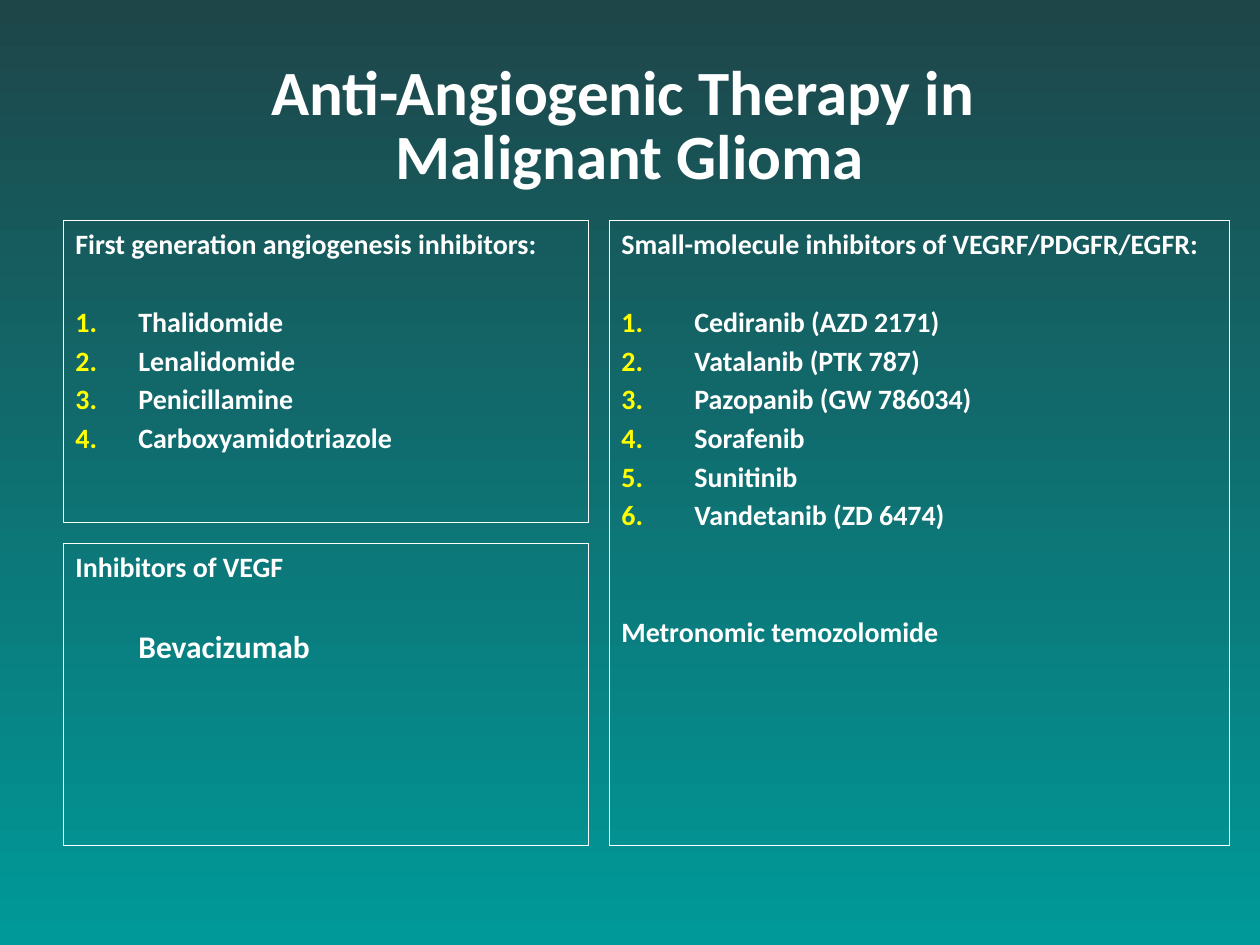
from dataclasses import dataclass

from lxml.etree import SubElement
from pptx import Presentation
from pptx.dml.color import RGBColor
from pptx.enum.shapes import MSO_SHAPE
from pptx.enum.text import MSO_ANCHOR, MSO_AUTO_SIZE, PP_ALIGN
from pptx.oxml.ns import qn
from pptx.util import Emu, Pt

EMU_PER_PX = 914400 / 126


@dataclass(frozen=True)
class Theme:
    font: str = "Calibri"
    text: str = "FFFFFF"
    number: str = "FFFF00"
    bottom: str = "009999"
    top: str = "1E4649"
    title_size: int = 36
    body_size: int = 16
    drug_size: int = 18
    outline: float = 0.25


@dataclass(frozen=True)
class Box:
    left: int
    top: int
    width: int
    height: int


@dataclass(frozen=True)
class Panel:
    box: Box
    heading: str
    items: tuple[str, ...] = ()
    indent: int = 0
    closing: str = ""


THEME = Theme()
ITEM_GAP, HEADING_GAP, CLOSING_GAP = 5, 45, 83  # px above a paragraph

TITLE_BOX = Box(42, 49, 1176, 158)
DRUG_BOX = Box(126, 621, 198, 50)
PANELS = (
    Panel(
        Box(63, 220, 525, 302),
        "First generation angiogenesis inhibitors:",
        ("Thalidomide", "Lenalidomide", "Penicillamine", "Carboxyamidotriazole"),
        indent=63,
    ),
    Panel(Box(63, 543, 525, 302), "Inhibitors of VEGF"),
    Panel(
        Box(609, 220, 620, 625),
        "Small-molecule inhibitors of VEGRF/PDGFR/EGFR:",
        (
            "Cediranib (AZD 2171)",
            "Vatalanib (PTK 787)",
            "Pazopanib (GW 786034)",
            "Sorafenib",
            "Sunitinib",
            "Vandetanib (ZD 6474)",
        ),
        indent=73,
        closing="Metronomic temozolomide",
    ),
)


def px(n: int) -> Emu:
    return Emu(round(n * EMU_PER_PX))


def place(box: Box) -> tuple[Emu, ...]:
    return px(box.left), px(box.top), px(box.width), px(box.height)


def rgb(color: str) -> RGBColor:
    return RGBColor.from_string(color)


def add_run(p, text: str, size: int) -> None:
    r = p.add_run()
    r.text = text
    r.font.name = THEME.font
    r.font.size = Pt(size)
    r.font.bold = True
    r.font.color.rgb = rgb(THEME.text)


def number(p, indent: int) -> None:
    """Give the paragraph a coloured automatic number and a hanging indent."""
    pPr = p._p.get_or_add_pPr()
    pPr.set("marL", str(px(indent)))
    pPr.set("indent", str(-px(indent)))
    color = SubElement(pPr, qn("a:buClr"))
    SubElement(color, qn("a:srgbClr"), val=THEME.number)
    SubElement(pPr, qn("a:buAutoNum"), type="arabicPeriod")


def add_line(tf, text: str, gap: int):
    p = tf.add_paragraph()
    p.space_before = px(gap)
    add_run(p, text, THEME.body_size)
    return p


def draw_panel(s, panel: Panel) -> None:
    sp = s.shapes.add_shape(MSO_SHAPE.RECTANGLE, *place(panel.box))
    sp.shadow.inherit = False
    sp.fill.background()
    sp.line.color.rgb = rgb(THEME.text)
    sp.line.width = Pt(THEME.outline)
    tf = sp.text_frame
    tf.word_wrap = True
    tf.vertical_anchor = MSO_ANCHOR.TOP
    tf.paragraphs[0].alignment = PP_ALIGN.LEFT
    add_run(tf.paragraphs[0], panel.heading, THEME.body_size)
    for i, item in enumerate(panel.items):
        p = add_line(tf, item, ITEM_GAP if i else HEADING_GAP)
        p.alignment = PP_ALIGN.LEFT
        number(p, panel.indent)
    if panel.closing:
        add_line(tf, panel.closing, CLOSING_GAP).alignment = PP_ALIGN.LEFT


def draw_title(s) -> None:
    tf = s.shapes.add_textbox(*place(TITLE_BOX)).text_frame
    tf.word_wrap = True
    tf.vertical_anchor = MSO_ANCHOR.MIDDLE
    p = tf.paragraphs[0]
    p.alignment = PP_ALIGN.CENTER
    p.line_spacing = 0.85
    add_run(p, "Anti-Angiogenic Therapy in ", THEME.title_size)
    p.add_line_break()
    add_run(p, "Malignant Glioma", THEME.title_size)


def draw_drug(s) -> None:
    tf = s.shapes.add_textbox(*place(DRUG_BOX)).text_frame
    tf.word_wrap = False
    tf.auto_size = MSO_AUTO_SIZE.SHAPE_TO_FIT_TEXT
    add_run(tf.paragraphs[0], "Bevacizumab", THEME.drug_size)


def paint_background(s) -> None:
    fill = s.background.fill
    fill.gradient()
    fill.gradient_angle = 90
    for stop, color in zip(fill.gradient_stops, (THEME.bottom, THEME.top)):
        stop.color.rgb = rgb(color)


def main() -> None:
    prs = Presentation()
    prs.slide_width, prs.slide_height = px(1260), px(945)
    s = prs.slides.add_slide(prs.slide_layouts[6])
    paint_background(s)
    draw_title(s)
    for panel in PANELS:
        draw_panel(s, panel)
    draw_drug(s)
    prs.save("out.pptx")


if __name__ == "__main__":
    main()
